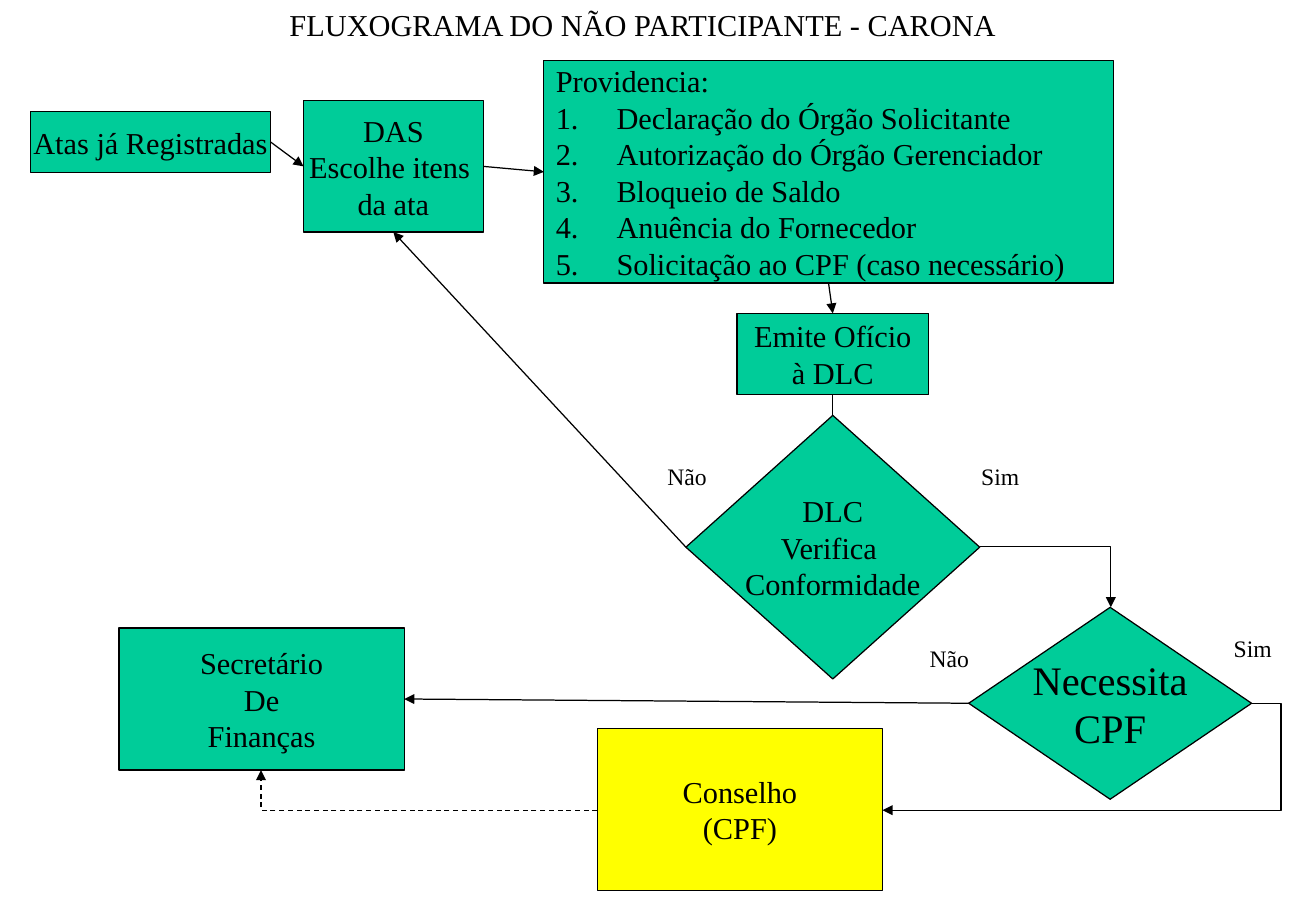
from lxml import etree
from pptx import Presentation
from pptx.dml.color import RGBColor
from pptx.enum.dml import MSO_LINE_DASH_STYLE as Dash
from pptx.enum.shapes import MSO_CONNECTOR as Link, MSO_SHAPE as Shape
from pptx.enum.text import MSO_ANCHOR as Anchor, MSO_AUTO_SIZE as AutoSize, PP_ALIGN as Align
from pptx.oxml.ns import qn
from pptx.util import Inches, Pt

TOP, LEFT, BOTTOM, RIGHT = range(4)


def color(value):
    return RGBColor.from_string(value)


def write(frame, text, size=18, font="Times New Roman", ink="000000",
          align=Align.CENTER, numbered=False):
    """Write one paragraph per line; numbered lists start after the first line."""
    frame.word_wrap = False
    for index, line in enumerate(text.split("\n")):
        para = frame.paragraphs[0] if index == 0 else frame.add_paragraph()
        para.alignment = align
        span = para.add_run()
        span.text = line
        span.font.size = Pt(size)
        span.font.name = font
        span.font.color.rgb = color(ink)
        if numbered:
            props = para._p.get_or_add_pPr()
            props.set("marL", str(Inches(0.5)))
            props.set("indent", str(-Inches(0.5)))
            if index:
                etree.SubElement(props, qn("a:buAutoNum"), type="arabicPeriod")


class Flowchart:
    green, yellow, ink = "00CC99", "FFFF00", "000000"
    weight = 0.75

    def __init__(self, page):
        self.page = page

    def box(self, text, left, top, width, height, fill=green,
            kind=Shape.FLOWCHART_PROCESS, **style):
        box = self.page.shapes.add_shape(
            kind, Inches(left), Inches(top), Inches(width), Inches(height))
        box.shadow.inherit = False
        box.fill.solid()
        box.fill.fore_color.rgb = color(fill)
        box.line.color.rgb = color(self.ink)
        box.line.width = Pt(self.weight)
        box.text_frame.vertical_anchor = Anchor.MIDDLE
        write(box.text_frame, text, **style)
        return box

    def decision(self, text, left, top, width, height, **style):
        return self.box(text, left, top, width, height,
                        kind=Shape.FLOWCHART_DECISION, **style)

    def label(self, text, left, top, width, height=0.34, **style):
        label = self.page.shapes.add_textbox(
            Inches(left), Inches(top), Inches(width), Inches(height))
        write(label.text_frame, text, **style)
        label.text_frame.auto_size = AutoSize.SHAPE_TO_FIT_TEXT

    def finish(self, link, arrow=True, dashed=False):
        link.line.color.rgb = color(self.ink)
        link.line.width = Pt(self.weight)
        if dashed:
            link.line.dash_style = Dash.DASH
        if arrow:
            etree.SubElement(link.line._get_or_add_ln(), qn("a:tailEnd"), type="triangle")
        etree.SubElement(link._element.spPr, qn("a:effectLst"))

    def join(self, source, source_side, target, target_side, arrow=True):
        link = self.page.shapes.add_connector(Link.STRAIGHT, 0, 0, 0, 0)
        link.begin_connect(source, source_side)
        link.end_connect(target, target_side)
        self.finish(link, arrow)

    def elbow(self, start, end, preset="bentConnector2", bend=None, dashed=False):
        link = self.page.shapes.add_connector(
            Link.ELBOW, *(Inches(value) for value in start + end))
        geometry = link._element.spPr.find(qn("a:prstGeom"))
        geometry.set("prst", preset)
        if bend is not None:
            guides = geometry.find(qn("a:avLst"))
            if guides is None:
                guides = etree.SubElement(geometry, qn("a:avLst"))
            etree.SubElement(guides, qn("a:gd"), name="adj1",
                             fmla=f"val {round(bend * 100000)}")
        # A double flip is stored as a half turn
        frame = link._element.spPr.find(qn("a:xfrm"))
        if frame.get("flipH") and frame.get("flipV"):
            del frame.attrib["flipH"], frame.attrib["flipV"]
            frame.set("rot", str(180 * 60000))
        self.finish(link, dashed=dashed)


def main():
    deck = Presentation()
    deck.slide_width, deck.slide_height = Inches(10.84), Inches(7.5)
    chart = Flowchart(deck.slides.add_slide(deck.slide_layouts[6]))

    # Title
    chart.label("FLUXOGRAMA DO NÃO PARTICIPANTE - CARONA", 2.25, 0, 6.09, 0.4)

    # Steps
    council = chart.box("Conselho\n(CPF)", 4.92, 6, 2.35, 1.33, fill=chart.yellow)
    letter = chart.box("Emite Ofício\nà DLC", 6.07, 2.58, 1.58, 0.67)
    tasks = chart.box(
        "Providencia:\nDeclaração do Órgão Solicitante\n"
        "Autorização do Órgão Gerenciador\nBloqueio de Saldo\n"
        "Anuência do Fornecedor\nSolicitação ao CPF (caso necessário)",
        4.48, 0.5, 4.69, 1.83, align=Align.LEFT, numbered=True)
    das = chart.box("DAS\nEscolhe itens \nda ata", 2.5, 0.83, 1.48, 1.08)
    records = chart.box("Atas já Registradas", 0.25, 0.92, 1.98, 0.5)
    secretary = chart.box("Secretário\nDe\nFinanças", 0.98, 5.17, 2.35, 1.17)

    # Decisions
    check = chart.decision("DLC\nVerifica \nConformidade", 5.65, 3.42, 2.42, 2.17)
    need = chart.decision("Necessita\nCPF", 7.98, 5, 2.33, 1.58, size=24)

    # Straight links
    chart.join(records, RIGHT, das, LEFT)
    chart.join(das, RIGHT, tasks, LEFT)
    chart.join(tasks, BOTTOM, letter, TOP)
    chart.join(letter, BOTTOM, check, TOP, arrow=False)
    chart.join(check, LEFT, das, BOTTOM)
    chart.join(need, LEFT, secretary, RIGHT)

    # Bent links
    chart.elbow((8.07, 4.5), (9.15, 5))
    chart.elbow((10.31, 5.79), (7.27, 6.67), preset="bentConnector3", bend=-0.08)
    chart.elbow((4.92, 6.67), (2.15, 6.34), dashed=True)

    # Answers
    for text, left, top in (("Não", 5.36, 3.75), ("Sim", 7.94, 3.75),
                            ("Não", 7.52, 5.25), ("Sim", 10.02, 5.17)):
        chart.label(text, left, top, 0.6, size=14)

    deck.save("out.pptx")


if __name__ == "__main__":
    main()
